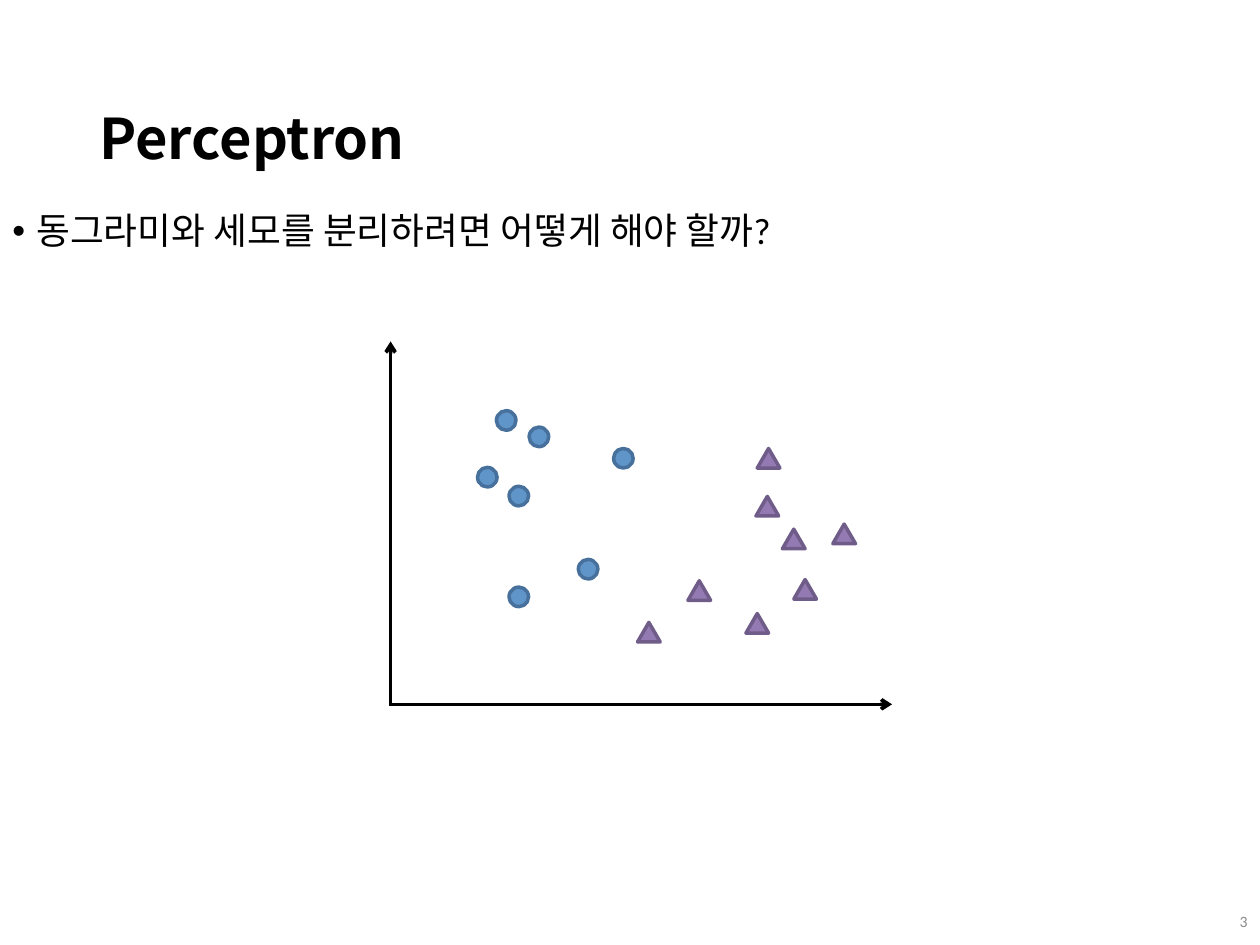
from dataclasses import dataclass

import pptx
import pptx.dml.color
import pptx.enum.shapes
import pptx.enum.text
import pptx.oxml.ns
import pptx.oxml.xmlchemy
import pptx.util
from lxml import etree

Shape = pptx.enum.shapes.MSO_SHAPE
Align = pptx.enum.text.PP_ALIGN
Anchor = pptx.enum.text.MSO_ANCHOR
COLS, ROWS = 100, 75
CELL = pptx.util.Inches(0.1)


@dataclass
class Label:
    text: str
    box: tuple[float, float, float, float]
    font: dict
    color: str
    frame: dict
    para: dict
    bullet: bool = False


@dataclass
class Group:
    kind: int
    size: tuple[float, float]
    fill: str
    edge: str
    spots: list[tuple[float, float]]


@dataclass
class Axis:
    start: tuple[float, float]
    end: tuple[float, float]


LABELS = [
    Label("Perceptron", (6.9, 4, 86.2, 14.5),
          {"size": pptx.util.Pt(32), "bold": True, "name": "Noto Sans CJK KR"}, "000000",
          {"vertical_anchor": Anchor.MIDDLE}, {"line_spacing": 0.9}),
    Label("동그라미와 세모를 분리하려면 어떻게 해야 할까?", (0, 16.4, 100, 47.6),
          {"size": pptx.util.Pt(21), "name": "Calibri"}, "000000",
          {"vertical_anchor": Anchor.TOP}, {"line_spacing": 0.9}, True),
    Label("3", (94.6, 71.1, 5.4, 4),
          {"size": pptx.util.Pt(9), "name": "Calibri"}, "8C8C8C",
          {"vertical_anchor": Anchor.MIDDLE}, {"alignment": Align.RIGHT}),
]

GROUPS = [
    Group(Shape.OVAL, (1.55, 1.55), "6095C9", "47719C",
          [(39.4, 32.6), (37.9, 37.1), (42, 33.9), (40.4, 38.6),
           (48.7, 35.6), (45.9, 44.4), (40.4, 46.6)]),
    Group(Shape.ISOSCELES_TRIANGLE, (1.8, 1.55), "937AB2", "705C89",
          [(60.1, 35.6), (62.1, 42), (60, 39.4), (50.6, 49.4),
           (59.2, 48.7), (66.1, 41.6), (63, 46), (54.6, 46.1)]),
]

AXES = [Axis((31, 55.9), (31, 27.1)), Axis((30.9, 55.9), (70.8, 55.9))]


def paint(target, color: str) -> None:
    target.rgb = pptx.dml.color.RGBColor.from_string(color)


def grid(*cells: float) -> list[int]:
    return [round(cell * CELL) for cell in cells]


def apply(target, values: dict) -> None:
    for name, value in values.items():
        setattr(target, name, value)


def tag(parent, name: str, **values: str):
    node = etree.SubElement(parent, pptx.oxml.ns.qn(name))
    for key, value in values.items():
        node.set(key, value)
    return node


def write(slide, label: Label) -> None:
    frame = slide.shapes.add_textbox(*grid(*label.box)).text_frame
    apply(frame, {"word_wrap": True, **label.frame})
    para = frame.paragraphs[0]
    apply(para, label.para)
    if label.bullet:
        props = para._p.get_or_add_pPr()
        indent = pptx.util.Inches(0.19)
        props.set("marL", str(indent))
        props.set("indent", str(-indent))
        tag(props, "a:buFont", typeface="Arial")
        tag(props, "a:buChar", char="•")
    run = para.add_run()
    run.text = label.text
    apply(run.font, label.font)
    paint(run.font.fill_color if hasattr(run.font, "fill_color") else run.font.color, label.color)
    tag(run._r.get_or_add_rPr(), "a:ea", typeface="Noto Sans CJK KR")


def plot(slide, group: Group) -> None:
    for spot in group.spots:
        mark = slide.shapes.add_shape(group.kind, *grid(*spot, *group.size))
        mark.shadow.inherit = False
        mark.fill.solid()
        paint(mark.fill.fore_color, group.fill)
        paint(mark.line.color, group.edge)
        mark.line.width = pptx.util.Pt(2)


def draw(slide, axis: Axis) -> None:
    line = slide.shapes.add_connector(
        pptx.enum.shapes.MSO_CONNECTOR.STRAIGHT, *grid(*axis.start, *axis.end))
    paint(line.line.color, "000000")
    line.line.width = pptx.util.Pt(2)
    tag(line.line._get_or_add_ln(), "a:tailEnd", type="arrow")
    tag(line._element.spPr, "a:effectLst")


def main() -> None:
    deck = pptx.Presentation()
    deck.slide_width, deck.slide_height = grid(COLS, ROWS)
    slide = deck.slides.add_slide(deck.slide_layouts[6])
    for label in LABELS:
        write(slide, label)
    for group in GROUPS:
        plot(slide, group)
    for axis in AXES:
        draw(slide, axis)
    deck.save("out.pptx")


if __name__ == "__main__":
    main()
